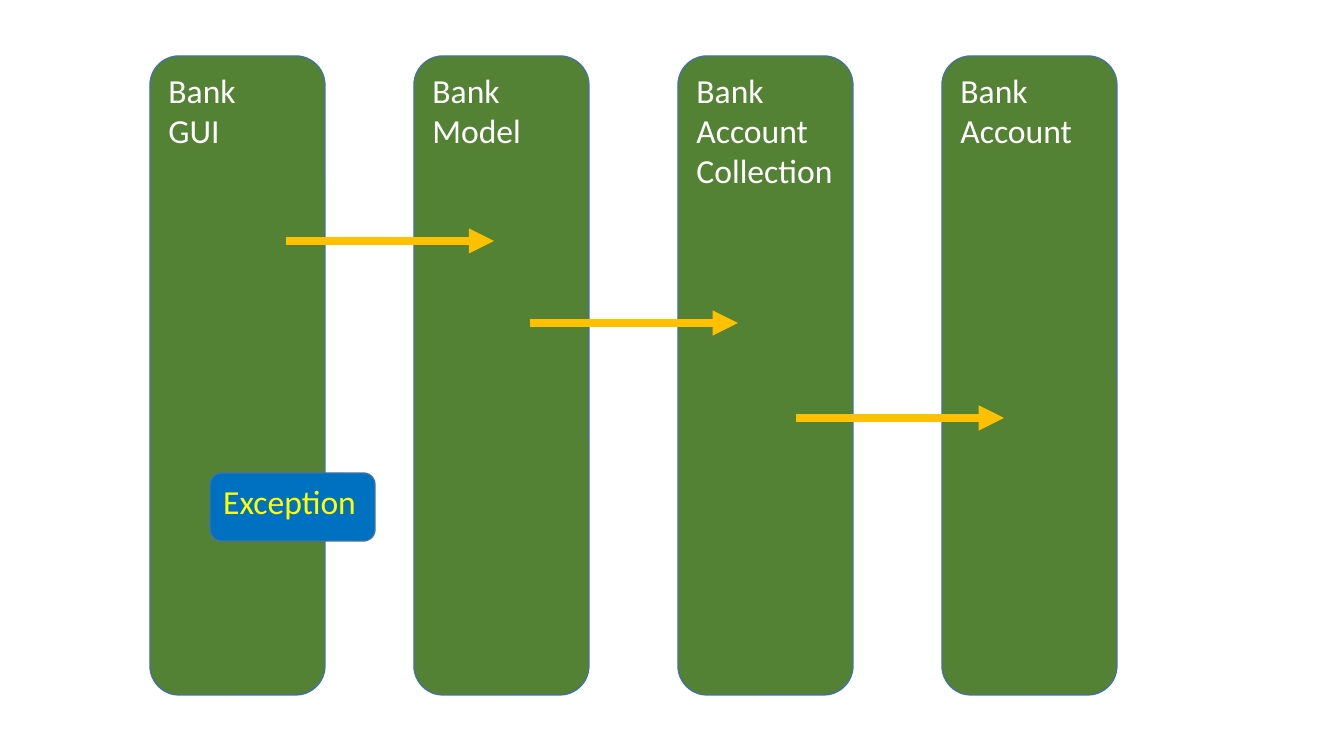
import pptx
import pptx.dml.color
import pptx.enum.shapes
import pptx.enum.text
import pptx.oxml.ns
import pptx.util
from lxml import etree

EMU_PER_INCH = 914400
PX_PER_INCH = 100.8
COLORS = {
    "column": "548235",
    "outline": "43739E",
    "call": "FFC000",
    "exception": "0070C0",
    "column_text": "FFFFFF",
    "exception_text": "FFFF00",
}
COLUMNS = ["Bank\nGUI", "Bank\nModel", "Bank\nAccount\nCollection", "Bank\nAccount"]
COLUMN_PITCH = 264
CALL_STARTS = [(286, 241), (530, 323), (796, 418)]
CALL_LENGTH = 208


def px(length):
    return pptx.util.Emu(round(length * EMU_PER_INCH / PX_PER_INCH))


def color(name):
    return pptx.dml.color.RGBColor.from_string(COLORS[name])


def add_rounded_box(slide, box, text, fill, text_color):
    shape = slide.shapes.add_shape(
        pptx.enum.shapes.MSO_SHAPE.ROUNDED_RECTANGLE, *map(px, box))
    shape.shadow.inherit = False
    shape.fill.solid()
    shape.fill.fore_color.rgb = color(fill)
    shape.line.color.rgb = color("outline")
    shape.line.width = pptx.util.Pt(1)
    text_frame = shape.text_frame
    text_frame.word_wrap = True
    text_frame.vertical_anchor = pptx.enum.text.MSO_ANCHOR.TOP
    text_frame.text = text
    for paragraph in text_frame.paragraphs:
        paragraph.alignment = pptx.enum.text.PP_ALIGN.LEFT
        for run in paragraph.runs:
            run.font.name = "Calibri"
            run.font.size = pptx.util.Pt(24)
            run.font.color.rgb = color(text_color)


def add_columns(slide, left, top, width, height):
    for index, name in enumerate(COLUMNS):
        box = (left + index * COLUMN_PITCH, top, width, height)
        add_rounded_box(slide, box, name, "column", "column_text")


def add_call_arrow(slide, left, y, length):
    connector = slide.shapes.add_connector(
        pptx.enum.shapes.MSO_CONNECTOR.STRAIGHT,
        px(left), px(y), px(left + length), px(y))
    connector.line.color.rgb = color("call")
    connector.line.width = pptx.util.Pt(6)
    qn = pptx.oxml.ns.qn
    etree.SubElement(connector.line._get_or_add_ln(), qn("a:tailEnd"), type="triangle")
    etree.SubElement(connector._element.spPr, qn("a:effectLst"))


def main():
    presentation = pptx.Presentation()
    presentation.slide_width = px(1344)
    presentation.slide_height = px(756)
    slide = presentation.slides.add_slide(presentation.slide_layouts[6])
    add_columns(slide, 150, 56, 175, 639)
    for left, y in CALL_STARTS:
        add_call_arrow(slide, left, y, CALL_LENGTH)
    add_rounded_box(slide, (210, 473, 165, 68), "Exception", "exception", "exception_text")
    presentation.save("out.pptx")


if __name__ == "__main__":
    main()
